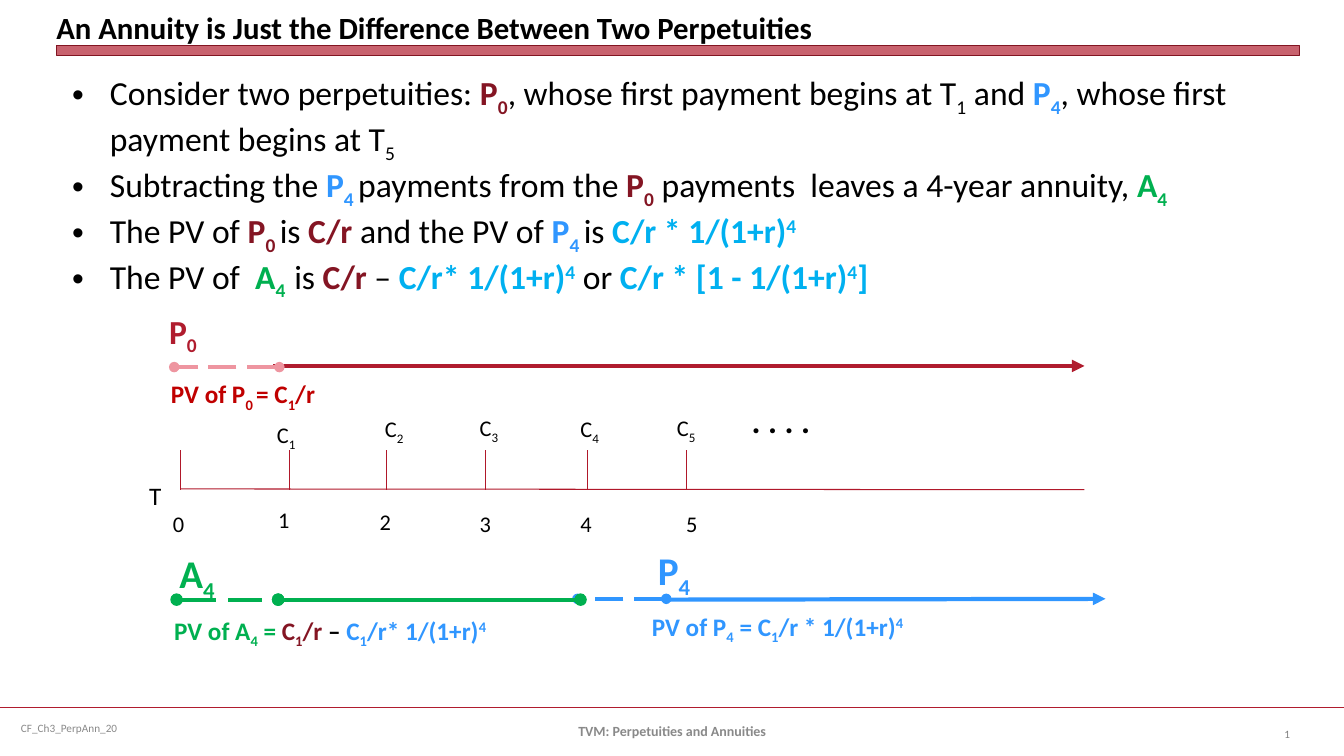
from dataclasses import dataclass, field

from lxml.etree import SubElement
from pptx import Presentation
from pptx.dml.color import RGBColor
from pptx.enum.dml import MSO_LINE
from pptx.enum.shapes import MSO_CONNECTOR, MSO_SHAPE
from pptx.enum.text import MSO_ANCHOR, MSO_AUTO_SIZE, PP_ALIGN
from pptx.oxml.ns import qn
from pptx.util import Cm, Pt


@dataclass
class Theme:
    font: str = "Calibri"
    colours: dict = field(default_factory=lambda: {
        "plain": "000000", "strong": "000000", "grey": "898989",
        "page": "808080", "footer": "898989", "red": "B01C2E",
        "axis": "B0182A", "pink": "EE95A0", "maroon": "841523",
        "edge": "821522", "brick": "C00000", "blue": "3096FF",
        "cyan": "00B0F0", "green": "00B050"})
    light: tuple = ("plain", "grey", "page")
    sizes: dict = field(default_factory=lambda: {
        "note": 8, "footer": 10, "mark": 16, "label": 18,
        "title": 22, "body": 24, "symbol": 28})

    def colour(self, ink):
        return RGBColor.from_string(self.colours[ink])


def apply(target, values):
    for name, value in values.items():
        setattr(target, name, value)


class SlideBuilder:
    SHIFTS = {"_": "-25000", "^": "30000"}

    def __init__(self, slide, theme):
        self.slide, self.theme = slide, theme

    def add_runs(self, paragraph, runs, size):
        """Braces hold shifted text: {_0} is a subscript, {^4} a superscript."""
        for text, ink in runs:
            for index, piece in enumerate(text.replace("}", "{").split("{")):
                if not piece:
                    continue
                shifted = index % 2
                run = paragraph.add_run()
                run.text = piece[1:] if shifted else piece
                apply(run.font, {"name": self.theme.font,
                                 "size": Pt(self.theme.sizes[size]),
                                 "bold": ink not in self.theme.light})
                run.font.color.rgb = self.theme.colour(ink)
                if shifted:
                    run.font._element.set("baseline", self.SHIFTS[piece[0]])

    def title(self, text, box):
        heading = self.slide.shapes.title
        apply(heading, dict(zip(("left", "top", "width", "height"), map(Cm, box))))
        apply(heading.text_frame, {
            "margin_left": 0, "margin_right": 0, "margin_top": 0, "margin_bottom": 0,
            "vertical_anchor": MSO_ANCHOR.BOTTOM, "auto_size": MSO_AUTO_SIZE.NONE})
        paragraph = heading.text_frame.paragraphs[0]
        paragraph.alignment = PP_ALIGN.LEFT
        self.add_runs(paragraph, [(text, "strong")], "title")

    def text(self, runs, box, size, align=PP_ALIGN.LEFT, **frame_format):
        frame = self.slide.shapes.add_textbox(*map(Cm, box)).text_frame
        apply(frame, {"word_wrap": False,
                      "auto_size": MSO_AUTO_SIZE.SHAPE_TO_FIT_TEXT, **frame_format})
        paragraph = frame.paragraphs[0]
        paragraph.alignment = align
        self.add_runs(paragraph, runs, size)
        return paragraph

    def footer(self, text, ink, box, size, align):
        return self.text([(text, ink)], box, size, align, word_wrap=True,
                         auto_size=MSO_AUTO_SIZE.NONE,
                         vertical_anchor=MSO_ANCHOR.MIDDLE)

    def bullets(self, items, box, size, indent):
        frame = self.slide.shapes.add_textbox(*map(Cm, box)).text_frame
        apply(frame, {"word_wrap": True,
                      "auto_size": MSO_AUTO_SIZE.SHAPE_TO_FIT_TEXT})
        for index, runs in enumerate(items):
            paragraph = frame.add_paragraph() if index else frame.paragraphs[0]
            properties = paragraph._p.get_or_add_pPr()
            properties.set("marL", str(int(Cm(indent))))
            properties.set("indent", str(-int(Cm(indent))))
            SubElement(properties, qn("a:buFont"), typeface="Arial")
            SubElement(properties, qn("a:buChar"), char="•")
            self.add_runs(paragraph, runs, size)

    def bar(self, box, fill, edge, opacity):
        bar = self.slide.shapes.add_shape(MSO_SHAPE.RECTANGLE, *map(Cm, box))
        bar.shadow.inherit = False
        bar.fill.solid()
        bar.fill.fore_color.rgb = self.theme.colour(fill)
        tint = bar._element.spPr.find(qn("a:solidFill"))[0]
        SubElement(tint, qn("a:alpha"), val=str(opacity * 1000))
        bar.line.color.rgb = self.theme.colour(edge)
        bar.line.width = Pt(0)

    def line(self, ends, ink, width, dashed=False, head=None, tail=None):
        line = self.slide.shapes.add_connector(MSO_CONNECTOR.STRAIGHT, *map(Cm, ends))
        line.line.color.rgb = self.theme.colour(ink)
        line.line.width = Pt(width)
        if dashed:
            line.line.dash_style = MSO_LINE.LONG_DASH
        for tag, kind in (("a:headEnd", head), ("a:tailEnd", tail)):
            if kind:
                SubElement(line.line._get_or_add_ln(), qn(tag), type=kind)
        SubElement(line._element.spPr, qn("a:effectLst"))


BULLETS = [
    [("Consider two perpetuities: ", "plain"), ("P{_0}", "maroon"),
     (", whose first payment begins at T{_1} and ", "plain"), ("P{_4}", "blue"),
     (", whose first payment begins at T{_5}", "plain")],
    [("Subtracting the ", "plain"), ("P{_4 }", "blue"),
     ("payments from the ", "plain"), ("P{_0}", "maroon"),
     (" payments  leaves a 4-year annuity, ", "plain"), ("A{_4}", "green")],
    [("The PV of ", "plain"), ("P{_0 }", "maroon"), ("is ", "plain"),
     ("C/r", "maroon"), (" and the PV of ", "plain"), ("P{_4 }", "blue"),
     ("is ", "plain"), ("C/r * 1/(1+r){^4}", "cyan")],
    [("The PV of  ", "plain"), ("A{_4  }", "green"), ("is ", "plain"),
     ("C/r ", "maroon"), ("– ", "plain"), ("C/r* 1/(1+r){^4}", "cyan"),
     (" or ", "plain"), ("C/r * [1 - 1/(1+r){^4}]", "cyan")],
]

# Per period: tick x, number left and top, payment left and top
PERIODS = [
    (4.55, (4.11, 12.73), None),
    (7.29, (6.76, 12.62), (6.73, 10.49)),
    (9.75, (9.32, 12.67), (9.45, 10.34)),
    (12.24, (11.84, 12.73), (11.84, 10.31)),
    (14.81, (14.38, 12.73), (14.38, 10.34)),
    (17.3, (17.04, 12.73), (16.81, 10.31)),
]

# Runs, box, size
STREAM_LABELS = [
    ([("P{_4}", "blue")], (16.33, 13.64, 1.37, 1.45), "symbol"),
    ([("P{_0}", "red")], (4.01, 7.7, 1.24, 1.27), "body"),
    ([("A{_4}", "green")], (4.27, 13.72, 1.45, 1.45), "symbol"),
    ([("PV of P{_4} = C{_1}/r * 1/(1+r){^4}", "blue")],
     (16.18, 15.27, 7.01, 1.02), "label"),
    ([("PV of A{_4} = ", "green"), ("C{_1}/r", "maroon"), (" – ", "strong"),
      ("C{_1}/r* 1/(1+r){^4}", "blue")], (4.14, 15.37, 8.53, 1.02), "label"),
    ([("PV of P{_0 }= C{_1}/r", "brick")], (4.06, 9.42, 4.27, 1.02), "label"),
]


def main():
    deck = Presentation()
    apply(deck, {"slide_width": Cm(33.87), "slide_height": Cm(19.05)})
    page = SlideBuilder(deck.slides.add_slide(deck.slide_layouts[5]), Theme())

    # Title and footer
    page.line((0, 17.83, 33.87, 17.83), "red", 1.25)
    page.bar((1.42, 1.14, 31.32, 0.25), "red", "edge", 69)
    page.title("An Annuity is Just the Difference Between Two Perpetuities",
               (1.42, 0.13, 31.32, 1.02))
    page.footer("CF_Ch3_PerpAnn_20", "grey", (0.28, 17.83, 8.74, 1.02),
                "note", PP_ALIGN.LEFT)
    page.footer("TVM: Perpetuities and Annuities", "footer",
                (11.58, 17.91, 10.72, 1.02), "footer", PP_ALIGN.CENTER)
    number = page.footer("1", "page", (31.06, 17.98, 1.7, 1.02),
                         "note", PP_ALIGN.RIGHT).runs[0]._r
    number.tag = qn("a:fld")
    number.set("id", "{B6F15528-21DE-4FAA-801E-634DDDAF4B2B}")
    number.set("type", "slidenum")

    # Timeline
    page.line((4.55, 12.32, 27.33, 12.34), "axis", 0.75)
    page.text([("T", "plain")], (3.51, 11.99, 0.81, 1.02), "label")
    for period, (tick, number_at, payment_at) in enumerate(PERIODS):
        page.line((tick, 12.34, tick, 11.35), "axis", 0.75)
        page.text([(str(period), "plain")], (*number_at, 0.81, 0.94), "mark")
        if payment_at:
            page.text([(f"C{{_{period}}}", "plain")], (*payment_at, 1.02, 0.94), "mark")
    page.text([(". . . .", "strong")], (18.69, 9.96, 3.81, 1.27), "body", word_wrap=True)

    # Explanation
    page.bullets(BULLETS, (1.57, 1.7, 31.17, 5.38), "body", 0.95)

    # Payment streams
    dots = {"head": "oval", "tail": "oval"}
    page.line((6.88, 9.22, 27.33, 9.22), "red", 3, tail="triangle")
    page.line((16.81, 15.11, 27.86, 15.09), "blue", 3, tail="triangle")
    page.line((16.79, 15.09, 14.55, 15.09), "blue", 2.5, dashed=True, **dots)
    page.line((7.04, 9.25, 4.39, 9.25), "pink", 2.5, dashed=True, **dots)
    page.line((7.01, 15.11, 14.63, 15.11), "green", 3, **dots)
    page.line((4.45, 15.11, 7.01, 15.11), "green", 3, dashed=True, **dots)
    for runs, box, size in STREAM_LABELS:
        page.text(runs, box, size)

    deck.save("out.pptx")


if __name__ == "__main__":
    main()
